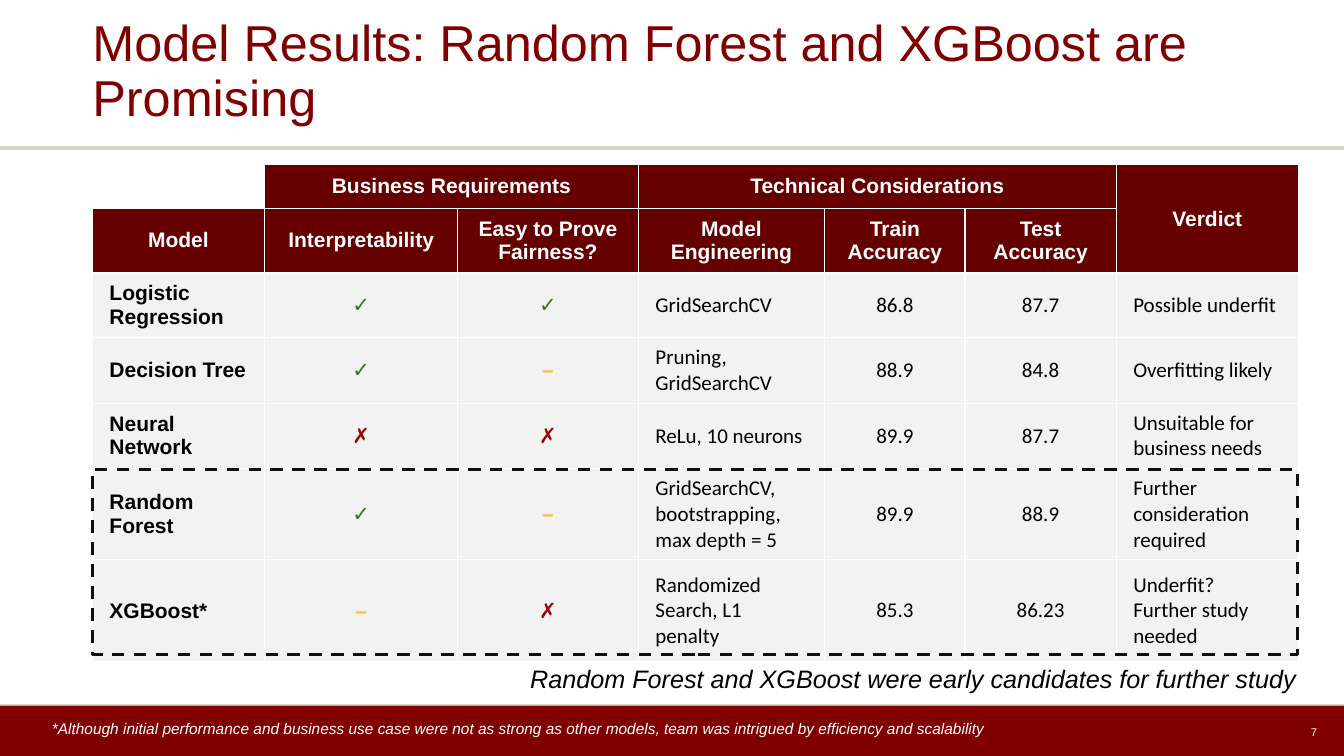
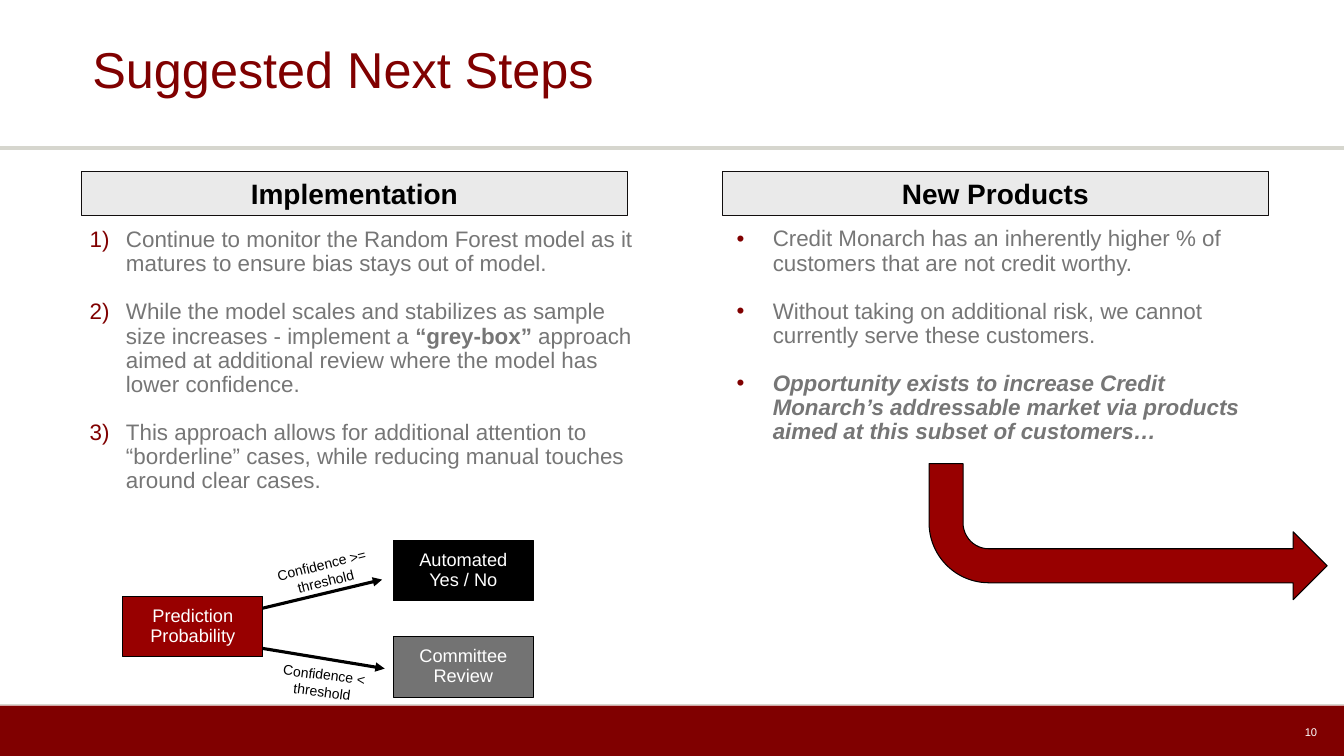
"""Build two slides on model results and next steps."""
from dataclasses import dataclass
from typing import NamedTuple

from lxml import etree
from pptx import Presentation
from pptx import util as u
from pptx.dml.color import RGBColor
from pptx.enum import dml, shapes, text
from pptx.oxml import ns

UNITS_PER_INCH = 12
COLUMNS, ROWS = 160, 90
CRIMSON, MAROON, RED, STONE = "800000", "660000", "980000", "D6D6CE"
BLACK, INK, WHITE = "000000", "110E0E", "FFFFFF"
GREY, MIST, PALE, SLATE = "767676", "EAEAEA", "F2F2F2", "737373"
MARK_COLORS = {"✓": "38761D", "–": "F1C232", "✗": "990000"}
LEFT, CENTER, RIGHT = text.PP_ALIGN.LEFT, text.PP_ALIGN.CENTER, text.PP_ALIGN.RIGHT
TOP, MIDDLE = text.MSO_ANCHOR.TOP, text.MSO_ANCHOR.MIDDLE
PLAIN_INSETS = (0.1, 0.05)
PADDED_INSETS = (0.14, 0.07)


class Area(NamedTuple):
    """A rectangle in grid units."""
    left: float
    top: float
    width: float
    height: float


class Run(NamedTuple):
    """A stretch of text with its emphasis."""
    text: str
    bold: bool = False
    italic: bool = False


@dataclass(frozen=True)
class Topic:
    """A headed list of points."""
    heading: str
    heading_area: Area
    list_area: Area
    bullet: str
    points: list


@dataclass(frozen=True)
class Step:
    """A box of the decision flow."""
    label: str
    left: float
    top: float
    fill: str


@dataclass(frozen=True)
class Branch:
    """An arrow of the decision flow with its tilted condition."""
    start: tuple
    end: tuple
    condition: str
    label_top: float
    tilt: float


def grid(units: float) -> int:
    """Turn grid units into a length."""
    return u.Inches(units / UNITS_PER_INCH)


def place(area: Area) -> list:
    """Turn an area into left, top, width and height."""
    return [grid(value) for value in area]


def color(value: str) -> RGBColor:
    """Turn a hex string into a colour."""
    return RGBColor.from_string(value)


def add_bullet(paragraph, bullet: str) -> None:
    """Give a paragraph a hanging crimson bullet or number."""
    properties = paragraph._p.get_or_add_pPr()
    properties.set("marL", str(u.Inches(0.5)))
    properties.set("indent", str(u.Inches(-0.36)))
    tint = etree.SubElement(properties, ns.qn("a:buClr"))
    etree.SubElement(tint, ns.qn("a:srgbClr"), val=CRIMSON)
    if bullet == "1)":
        etree.SubElement(properties, ns.qn("a:buAutoNum"), type="arabicParenR")
    else:
        etree.SubElement(properties, ns.qn("a:buChar"), char=bullet)


def write(frame, paragraphs, *, size: float, ink: str, font: str = "Arial",
          bold: bool = False, italic: bool = False, align=LEFT,
          spacing: float = 1.0, gap: float = 0, bullet: str = "") -> None:
    """Fill a text frame with formatted paragraphs."""
    if isinstance(paragraphs, str):
        paragraphs = [[Run(paragraphs, bold, italic)]]
    for index, runs in enumerate(paragraphs):
        paragraph = frame.add_paragraph() if index else frame.paragraphs[0]
        if bullet:
            add_bullet(paragraph, bullet)
        paragraph.alignment = align
        paragraph.line_spacing = spacing
        paragraph.space_before = u.Pt(gap if index else 0)
        for part in runs:
            run = paragraph.add_run()
            run.text = part.text
            run.font.name, run.font.size = font, u.Pt(size)
            run.font.bold, run.font.italic = part.bold, part.italic
            run.font.color.rgb = color(ink)


def set_frame(frame, insets: tuple, anchor=MIDDLE) -> None:
    """Set wrapping, insets and anchor of a text frame."""
    frame.word_wrap = True
    frame.auto_size = text.MSO_AUTO_SIZE.NONE
    frame.margin_left = frame.margin_right = u.Inches(insets[0])
    frame.margin_top = frame.margin_bottom = u.Inches(insets[1])
    frame.vertical_anchor = anchor


def add_text(slide, area: Area, content: str, *, insets=PLAIN_INSETS,
             anchor=MIDDLE, tilt: float = 0, **style) -> None:
    """Add a text box."""
    box = slide.shapes.add_textbox(*place(area))
    box.rotation = tilt
    set_frame(box.text_frame, insets, anchor)
    write(box.text_frame, content, **style)


def fill_placeholder(holder, area: Area, content, anchor, **style) -> None:
    """Move a placeholder and write into it."""
    holder.left, holder.top, holder.width, holder.height = place(area)
    set_frame(holder.text_frame, (0, 0.05), anchor)
    write(holder.text_frame, content, spacing=0.9, **style)


def add_figure(slide, kind, area: Area, fill: str = "", line: str = "", width: float = 0.75):
    """Add a preset shape without a shadow."""
    figure = slide.shapes.add_shape(kind, *place(area))
    figure.shadow.inherit = False
    if fill:
        figure.fill.solid()
        figure.fill.fore_color.rgb = color(fill)
    else:
        figure.fill.background()
    if line:
        figure.line.color.rgb = color(line)
        figure.line.width = u.Pt(width)
    else:
        figure.line.fill.background()
    return figure


def add_line(slide, start: tuple, end: tuple, ink: str, width: float, arrow: bool = False) -> None:
    """Add a straight line, with an arrowhead if asked."""
    line = slide.shapes.add_connector(
        shapes.MSO_CONNECTOR.STRAIGHT, *(grid(value) for value in (*start, *end)))
    line.line.color.rgb = color(ink)
    line.line.width = u.Pt(width)
    if arrow:
        etree.SubElement(line.line._get_or_add_ln(), ns.qn("a:tailEnd"), type="triangle")
    etree.SubElement(line._element.spPr, ns.qn("a:effectLst"))


def start_slide(deck, layout: int, title: str, number: int):
    """Add a slide with its title, band, rules and page number."""
    slide = deck.slides.add_slide(deck.slide_layouts[layout])
    add_figure(slide, shapes.MSO_SHAPE.RECTANGLE, Area(0, 84, COLUMNS, ROWS - 84), CRIMSON)
    for top, width in ((83.9, 0.75), (17.6, 3)):
        add_line(slide, (0, top), (COLUMNS, top), STONE, width)
    fill_placeholder(slide.shapes.title, Area(11, 0, 138, 17.3), title, MIDDLE,
                     size=36, ink=CRIMSON)
    add_text(slide, Area(113, 84.7, 45, 4.8), str(number), size=8, ink=WHITE, align=RIGHT)
    return slide


TABLE_COLUMNS = (20.5, 23, 21.5, 22.2, 16.7, 18, 21.7)
TABLE_ROWS = (5.2, 7.7, 7.7, 7.7, 7.7, 10.7, 12.1)
HEADER_ROWS = 2
MERGES = (((0, 1), (0, 2)), ((0, 3), (0, 5)), ((0, 6), (1, 6)))
RESULTS = (
    ("", "Business Requirements", "", "Technical Considerations", "", "", "Verdict"),
    ("Model", "Interpretability", "Easy to Prove Fairness?", "Model Engineering",
     "Train Accuracy", "Test Accuracy", ""),
    ("Logistic Regression", "✓", "✓", "GridSearchCV", "86.8", "87.7", "Possible underfit"),
    ("Decision Tree", "✓", "–", "Pruning, GridSearchCV", "88.9", "84.8", "Overfitting likely"),
    ("Neural Network", "✗", "✗", "ReLu, 10 neurons", "89.9", "87.7",
     "Unsuitable for business needs"),
    ("Random Forest", "✓", "–", "GridSearchCV, bootstrapping, max depth = 5", "89.9", "88.9",
     "Further consideration required"),
    ("XGBoost*", "–", "✗", "Randomized Search, L1 penalty", "85.3", "86.23",
     "Underfit? Further study needed"),
)


def cell_style(row: int, column: int, content: str) -> dict:
    """Choose the text format of a table cell."""
    if row < HEADER_ROWS:
        return dict(ink=WHITE, bold=True, align=CENTER)
    if column == 0:
        return dict(ink=BLACK, bold=True)
    if content in MARK_COLORS:
        return dict(ink=MARK_COLORS[content], bold=True, align=CENTER)
    return dict(ink=BLACK, font="Calibri", align=CENTER if column in (4, 5) else LEFT)


def format_cell(cell, fill: str) -> None:
    """Set borders, fill and margins of a table cell."""
    properties = cell._tc.get_or_add_tcPr()
    for side in ("lnL", "lnR", "lnT", "lnB"):
        border = etree.SubElement(properties, ns.qn(f"a:{side}"), w=str(u.Pt(1)))
        paint = etree.SubElement(border, ns.qn("a:solidFill"))
        etree.SubElement(paint, ns.qn("a:srgbClr"), val=WHITE)
    cell.fill.solid()
    cell.fill.fore_color.rgb = color(fill)
    cell.margin_left = cell.margin_right = u.Inches(0.17)
    cell.margin_top = cell.margin_bottom = u.Inches(0.07)
    cell.vertical_anchor = MIDDLE


def add_results(slide) -> None:
    """Add the table of model results."""
    area = Area(11, 19.6, sum(TABLE_COLUMNS), sum(TABLE_ROWS))
    table = slide.shapes.add_table(len(TABLE_ROWS), len(TABLE_COLUMNS), *place(area)).table
    table.first_row = table.horz_banding = False
    for column, width in zip(table.columns, TABLE_COLUMNS):
        column.width = grid(width)
    for row, height in zip(table.rows, TABLE_ROWS):
        row.height = grid(height)
    for row, values in enumerate(RESULTS):
        for column, content in enumerate(values):
            cell = table.cell(row, column)
            header_fill = MAROON if row or column else WHITE
            format_cell(cell, header_fill if row < HEADER_ROWS else PALE)
            write(cell.text_frame, content, size=15, **cell_style(row, column, content))
    for first, last in MERGES:
        table.cell(*first).merge(table.cell(*last))


def build_results(deck) -> None:
    """Build the slide of model results."""
    slide = start_slide(deck, 5, "Model Results: Random Forest and XGBoost are Promising", 7)
    add_results(slide)
    candidates = add_figure(slide, shapes.MSO_SHAPE.RECTANGLE, Area(11, 55.9, 143.5, 22),
                            line=INK, width=2.25)
    candidates.line.dash_style = dml.MSO_LINE.DASH
    add_text(slide, Area(60.1, 78.4, 95.4, 4.8),
             "Random Forest and XGBoost were early candidates for further study",
             anchor=TOP, size=18, ink=BLACK, italic=True, align=RIGHT)
    add_text(slide, Area(4.5, 83.6, 144.5, 6.2),
             "*Although initial performance and business use case were not as strong as other "
             "models, team was intrigued by efficiency and scalability",
             insets=PADDED_INSETS, size=11, ink=WHITE, italic=True)


TOPICS = (
    Topic("Implementation", Area(9.7, 20.4, 65, 5.3), Area(9, 26.6, 66.6, 35.3), "1)", [
        [Run("Continue to monitor the Random Forest model as it matures to ensure bias stays "
             "out of model.")],
        [Run("While the model scales and stabilizes as sample size increases - implement a "),
         Run("“grey-box”", bold=True),
         Run(" approach aimed at additional review where the model has lower confidence.")],
        [Run("This approach allows for additional attention to “borderline” cases, while "
             "reducing manual touches around clear cases.")]]),
    Topic("New Products", Area(86, 20.4, 65, 5.3), Area(86, 26.5, 65, 28), "•", [
        [Run("Credit Monarch has an inherently higher % of customers that are not credit "
             "worthy.")],
        [Run("Without taking on additional risk, we cannot currently serve these customers.")],
        [Run("Opportunity exists to increase Credit Monarch’s addressable market via products "
             "aimed at this subset of customers…", bold=True, italic=True)]]),
)
STEPS = (Step("Prediction Probability", 14.6, 71, RED),
         Step("Automated Yes / No", 46.8, 64.3, BLACK),
         Step("Committee Review", 46.8, 75.8, SLATE))
BRANCHES = (Branch((31.3, 72.4), (45.5, 69), "Confidence >= threshold", 65, 345.9),
            Branch((31.3, 77.2), (45.8, 79.6), "Confidence < threshold", 78.1, 7.4))


def add_block(slide, area: Area, label: str, fill: str, line: str, insets: tuple, **style) -> None:
    """Add a filled rectangle with a centred label."""
    block = add_figure(slide, shapes.MSO_SHAPE.RECTANGLE, area, fill, line)
    set_frame(block.text_frame, insets)
    write(block.text_frame, label, align=CENTER, **style)


def build_next_steps(deck) -> None:
    """Build the slide of next steps."""
    slide = start_slide(deck, 3, "Suggested Next Steps", 10)
    for index, topic in enumerate(TOPICS, start=1):
        add_block(slide, topic.heading_area, topic.heading, MIST, INK, PADDED_INSETS,
                  size=20, ink=BLACK, bold=True)
        fill_placeholder(slide.placeholders[index], topic.list_area, topic.points, TOP,
                         size=16, ink=GREY, gap=17, bullet=topic.bullet)
    for step in STEPS:
        add_block(slide, Area(step.left, step.top, 16.7, 7.2), step.label, step.fill, BLACK,
                  (0.1, 0.1), size=13, ink=WHITE, spacing=0.9)
    for branch in BRANCHES:
        add_line(slide, branch.start, branch.end, BLACK, 2.25, arrow=True)
        add_text(slide, Area(30.6, branch.label_top, 15.8, 6.2), branch.condition,
                 insets=(0.1, 0.1), anchor=TOP, tilt=branch.tilt,
                 size=10, ink=BLACK, align=CENTER)
    onward = add_figure(slide, shapes.MSO_SHAPE.BENT_ARROW, Area(110.6, 55.2, 47.4, 16.2),
                        RED, BLACK)
    for index, share in enumerate((0.25, 0.25, 0.25, 0.44)):
        onward.adjustments[index] = share
    onward.rotation = 180
    onward._element.spPr.find(ns.qn("a:xfrm")).set("flipH", "1")


def main() -> None:
    """Build and save the presentation."""
    deck = Presentation()
    deck.slide_width, deck.slide_height = grid(COLUMNS), grid(ROWS)
    build_results(deck)
    build_next_steps(deck)
    deck.save("out.pptx")


if __name__ == "__main__":
    main()
